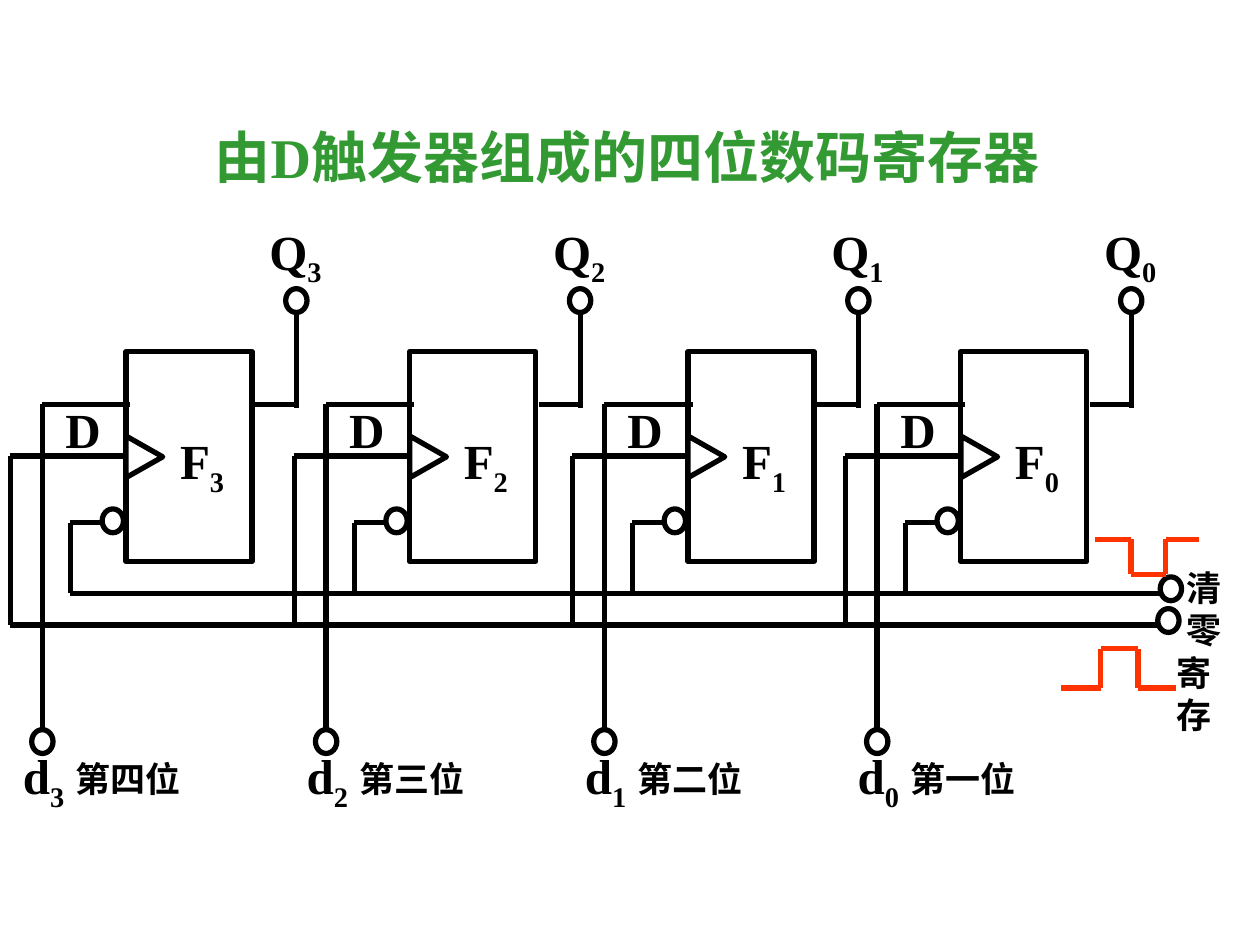
from lxml.etree import SubElement
from pptx import Presentation
from pptx.dml.color import RGBColor as Rgb
from pptx.enum.shapes import MSO_CONNECTOR as Connector, MSO_SHAPE as Shape
from pptx.enum.text import MSO_AUTO_SIZE as AutoSize, PP_ALIGN as Align
from pptx.oxml.ns import qn
from pptx.util import Cm, Pt

COLORS = {"ink": "000000", "paper": "FFFFFF", "pulse": "FF3300", "title": "339933"}


class Diagram:
    """Draws on one slide in a single style; all lengths are centimetres."""

    font = "Times New Roman"
    stroke = Pt(3)
    terminal_size = (0.43, 0.48)

    def __init__(self, slide):
        self.shapes = slide.shapes

    def color(self, name):
        return Rgb.from_string(COLORS[name])

    def wire(self, start, end, color="ink"):
        ends = [Cm(value) for value in (*start, *end)]
        line = self.shapes.add_connector(Connector.STRAIGHT, *ends)
        line.line.width = self.stroke
        line.line.color.rgb = self.color(color)
        SubElement(line._element.spPr, qn("a:effectLst"))

    def wires(self, points, color="ink"):
        for start, end in zip(points, points[1:]):
            self.wire(start, end, color)

    def outline(self, kind, left, top, width, height, filled=True):
        shape = self.shapes.add_shape(kind, Cm(left), Cm(top), Cm(width), Cm(height))
        shape.shadow.inherit = False
        if filled:
            shape.fill.solid()
            shape.fill.fore_color.rgb = self.color("paper")
        else:
            shape.fill.background()
        shape.line.width = self.stroke
        shape.line.color.rgb = self.color("ink")
        return shape

    def terminal(self, left, top, filled=True):
        self.outline(Shape.OVAL, left, top, *self.terminal_size, filled)

    def text(self, words, left, top, width, height, size, subscript="",
             color="ink", wrap=True, align=Align.LEFT):
        box = self.shapes.add_textbox(Cm(left), Cm(top), Cm(width), Cm(height))
        frame = box.text_frame
        frame.text = words
        frame.word_wrap = wrap
        frame.auto_size = AutoSize.SHAPE_TO_FIT_TEXT
        para = frame.paragraphs[0]
        para.alignment = align
        if subscript:
            low = para.add_run()
            low.text = subscript
            low.font._element.set("baseline", "-25000")
        for span in para.runs:
            span.font.name = self.font
            span.font.size = Pt(size)
            span.font.bold = True
            span.font.color.rgb = self.color(color)

    def symbol(self, letter, left, top, subscript=""):
        self.text(letter, left, top, 1.83, 1.6 if subscript else 1.45, 28, subscript)

    def note(self, words, left, top, width):
        self.text(words, left, top, width, 1.12, 20, wrap=False)

    def flip_flop(self, x, index, place):
        # Clock wire, body and clock wedge
        self.wire((x, 9.19), (x + 2.54, 9.19))
        self.outline(Shape.RECTANGLE, x + 2.33, 7.09, 2.54, 4.23)
        wedge = self.outline(Shape.ISOSCELES_TRIANGLE, x + 2.28, 8.84, 0.84, 0.74)
        wedge.rotation = 90
        self.wire((x, 9.19), (x, CLOCK_BUS))
        # Clear input
        self.terminal(x + 1.85, 10.26, filled=False)
        self.wires([(x + 1.85, 10.54), (x + 1.21, 10.54), (x + 1.21, CLEAR_BUS)])
        # Data input
        self.wires([(x + 2.42, 8.15), (x + 0.64, 8.15), (x + 0.64, 14.91)])
        self.terminal(x + 0.43, 14.71)
        # Output
        self.wire((x + 4.93, 8.15), (x + 5.77, 8.15))
        self.wire((x + 5.77, 6.15), (x + 5.77, 8.23))
        self.terminal(x + 5.55, 5.82)
        # Labels
        self.symbol("Q", x + 4.97, 4.34, index)
        self.symbol("F", x + 3.17, 8.56, index)
        self.symbol("D", x + 0.86, 7.92)
        self.symbol("d", x, 14.91, index)
        self.note(place, x + 1.07, 15.14, 2.62)


CLEAR_BUS, CLOCK_BUS = 11.96, 12.6
STAGES = [(0.21, "3", "第四位"), (5.93, "2", "第三位"),
          (11.54, "1", "第二位"), (17.04, "0", "第一位")]


def main():
    deck = Presentation()
    deck.slide_width, deck.slide_height = Cm(25.4), Cm(19.05)
    page = deck.slides.add_slide(deck.slide_layouts[6])
    diagram = Diagram(page)

    # Four register stages
    for stage in STAGES:
        diagram.flip_flop(*stage)

    # Shared clear and clock lines
    diagram.wire((1.42, CLEAR_BUS), (23.44, CLEAR_BUS))
    diagram.terminal(23.39, 11.63, filled=False)
    diagram.wire((0.21, CLOCK_BUS), (23.39, CLOCK_BUS))
    diagram.terminal(23.34, 12.27, filled=False)

    # Clear pulse (low) and store pulse (high)
    diagram.wires([(22.07, 10.87), (22.8, 10.87), (22.8, 11.58),
                   (23.5, 11.58), (23.5, 10.87), (24.18, 10.87)], "pulse")
    diagram.wires([(21.39, 13.87), (22.19, 13.87), (22.19, 13.08),
                   (22.94, 13.08), (22.94, 13.87), (23.7, 13.87)], "pulse")
    diagram.note("清零", 23.67, 11.3, 1.91)
    diagram.note("寄存", 23.47, 13, 1.91)

    # Title
    diagram.text("由D触发器组成的四位数码寄存器", 3.02, 2.34, 19.25, 1.63, 32,
                 color="title", align=Align.CENTER)
    deck.save("out.pptx")


if __name__ == "__main__":
    main()
